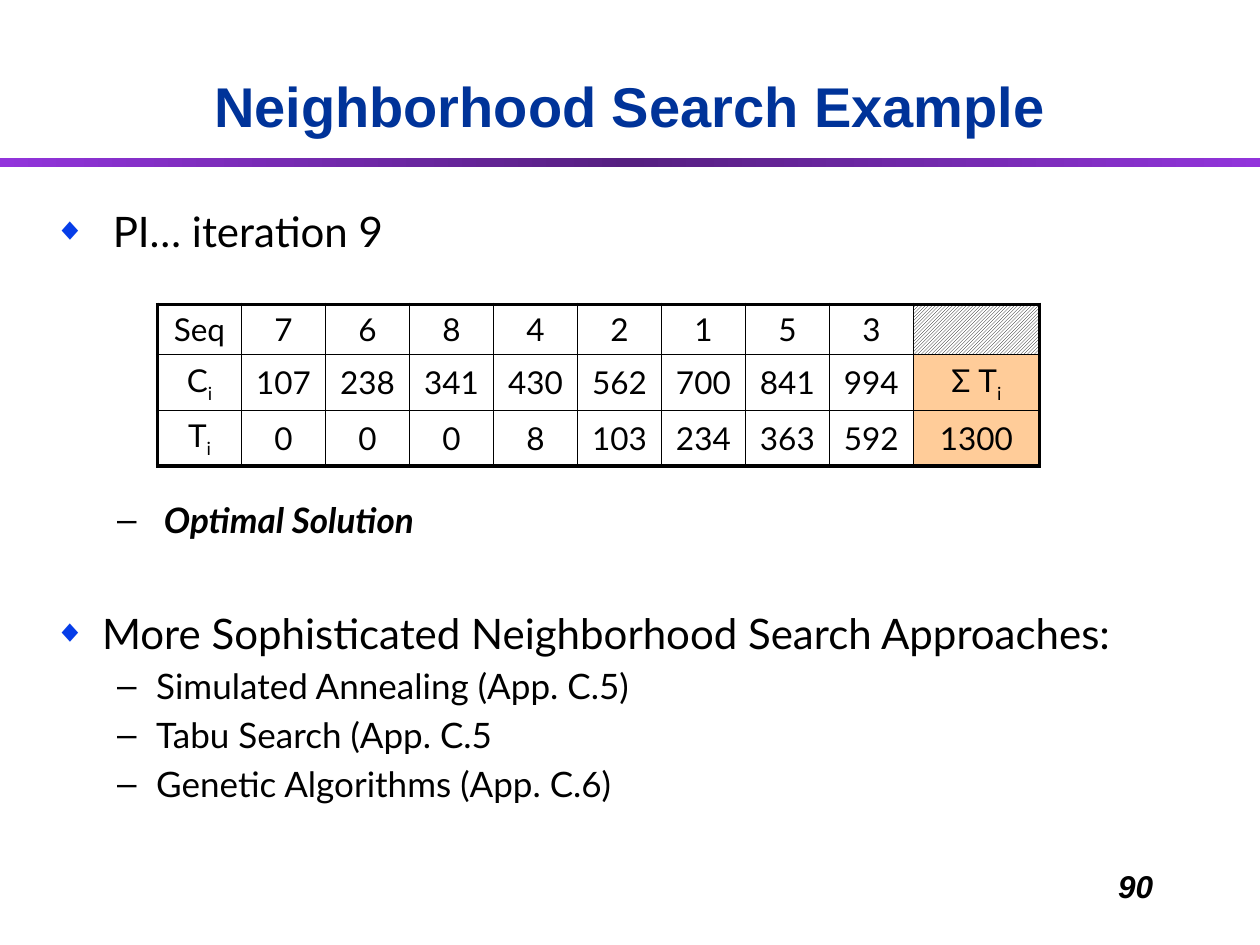
import pptx
import pptx.util
import pptx.dml.color
import pptx.enum.dml
import pptx.enum.shapes
import pptx.enum.text
import pptx.oxml.ns
from lxml import etree

COLORS = {
    "title": "003399", "text": "000000", "bullet": "063DE8", "paper": "FFFFFF",
    "total": "FFCC99", "bar_edge": "9234DB", "bar_middle": "561F81",
}
WIDTH, HEIGHT = pptx.util.Inches(10), pptx.util.Inches(7.5)
ALIGN = pptx.enum.text.PP_ALIGN
ANCHOR = pptx.enum.text.MSO_ANCHOR

SCHEDULE = [
    ["Seq", "7", "6", "8", "4", "2", "1", "5", "3", ""],
    [("C", "i"), "107", "238", "341", "430", "562", "700", "841", "994", ("Σ T", "i")],
    [("T", "i"), "0", "0", "0", "8", "103", "234", "363", "592", "1300"],
]
OUTLINE = [
    (0, " PI… iteration 9", 4.8, False),
    (1, " Optimal Solution", 138.4, True),
    (0, "More Sophisticated Neighborhood Search Approaches:", 38.4, False),
    (1, "Simulated Annealing (App. C.5)", 4, False),
    (1, "Tabu Search (App. C.5", 4, False),
    (1, "Genetic Algorithms (App. C.6)", 4, False),
]
LEVELS = [
    {"size": 24, "left": 0.38, "hang": 0.38, "mark": "◆", "color": "bullet", "scale": 75},
    {"size": 20, "left": 0.81, "hang": 0.31, "mark": "–", "color": "text", "scale": 100},
]


def rgb(name):
    """Return the named colour."""
    return pptx.dml.color.RGBColor.from_string(COLORS[name])


def share(left, top, width, height):
    """Turn shares of the slide into a box in EMU."""
    return [round(part * side) for part, side in
            zip((left, top, width, height), (WIDTH, HEIGHT, WIDTH, HEIGHT))]


def place(shape, box):
    """Move a shape into a box."""
    shape.left, shape.top, shape.width, shape.height = box


def child(parent, tag, **attributes):
    """Append a DrawingML element to a parent."""
    return etree.SubElement(parent, pptx.oxml.ns.qn(tag), attributes)


def add_run(paragraph, text, size, face="Lato", color="text", bold=False, italic=False):
    """Add one formatted run."""
    run = paragraph.add_run()
    run.text = text
    run.font.name, run.font.size = face, pptx.util.Pt(size)
    run.font.bold, run.font.italic = bold, italic
    run.font.color.rgb = rgb(color)
    return run


def add_bar(slide, box):
    """Draw the gradient bar under the title."""
    bar = slide.shapes.add_shape(pptx.enum.shapes.MSO_SHAPE.RECTANGLE, *box)
    bar.shadow.inherit = False
    bar.line.fill.background()
    bar.fill.gradient()
    bar.fill.gradient_angle = 0
    stops = bar._element.spPr.find(".//" + pptx.oxml.ns.qn("a:gsLst"))
    stops.clear()
    for position, name in ((0, "bar_edge"), (50000, "bar_middle"), (100000, "bar_edge")):
        stop = child(stops, "a:gs", pos=str(position))
        child(stop, "a:srgbClr", val=COLORS[name])


def fill_title(slide, box):
    """Write the heading in the title placeholder."""
    title = slide.shapes.title
    place(title, box)
    frame = title.text_frame
    frame.auto_size = pptx.enum.text.MSO_AUTO_SIZE.NONE
    frame.vertical_anchor = ANCHOR.BOTTOM
    heading = frame.paragraphs[0]
    heading.alignment = ALIGN.CENTER
    add_run(heading, "Neighborhood Search Example", 32, "Arial", "title", bold=True)


def fill_outline(slide, box):
    """Write the bulleted outline in the body placeholder."""
    body = slide.placeholders[1]
    place(body, box)
    frame = body.text_frame
    frame.auto_size = pptx.enum.text.MSO_AUTO_SIZE.NONE
    for index, (depth, text, gap, strong) in enumerate(OUTLINE):
        item = frame.add_paragraph() if index else frame.paragraphs[0]
        level = LEVELS[depth]
        item.level = depth
        item.space_before = pptx.util.Pt(gap)
        add_run(item, text, level["size"], bold=strong, italic=strong)
        properties = item._p.get_or_add_pPr()
        properties.set("marL", str(pptx.util.Inches(level["left"])))
        properties.set("indent", str(-pptx.util.Inches(level["hang"])))
        child(child(properties, "a:buClr"), "a:srgbClr", val=COLORS[level["color"]])
        child(properties, "a:buSzPct", val=str(level["scale"] * 1000))
        child(properties, "a:buChar", char=level["mark"])


def set_borders(cell, thick_sides):
    """Rule the four sides of a cell, heavier on the given ones."""
    properties = cell._tc.get_or_add_tcPr()
    for side in "LRTB":
        weight = pptx.util.Pt(2.25 if side in thick_sides else 1)
        line = child(properties, "a:ln" + side, w=str(weight))
        child(child(line, "a:solidFill"), "a:srgbClr", val=COLORS["text"])


def fill_cell(cell, row, column):
    """Set the paint of a schedule cell."""
    if column < len(SCHEDULE[0]) - 1:
        cell.fill.background()
    elif row:
        cell.fill.solid()
        cell.fill.fore_color.rgb = rgb("total")
    else:
        cell.fill.patterned()
        cell.fill.pattern = pptx.enum.dml.MSO_PATTERN.LIGHT_UPWARD_DIAGONAL
        cell.fill.fore_color.rgb = rgb("text")
        cell.fill.back_color.rgb = rgb("paper")


def add_schedule(slide, box):
    """Build the schedule table with a wider last column."""
    rows, columns = len(SCHEDULE), len(SCHEDULE[0])
    table = slide.shapes.add_table(rows, columns, *box).table
    table.first_row = table.horz_banding = False
    unit = box[2] / (columns + 0.5)
    for index, column in enumerate(table.columns):
        column.width = round(unit * (1.5 if index == columns - 1 else 1))
    for row, part in zip(table.rows, (0.4, 0.44, 0.44)):
        row.height = round(box[3] * part / 1.28)
    for r, values in enumerate(SCHEDULE):
        for c, value in enumerate(values):
            cell = table.cell(r, c)
            edges = {"L": c == 0, "R": c == columns - 1, "T": r == 0, "B": r == rows - 1}
            set_borders(cell, [side for side, outer in edges.items() if outer])
            fill_cell(cell, r, c)
            cell.vertical_anchor = ANCHOR.MIDDLE
            cell.margin_left = cell.margin_right = pptx.util.Inches(0.05)
            paragraph = cell.text_frame.paragraphs[0]
            paragraph.alignment = ALIGN.CENTER
            symbol, subscript = value if isinstance(value, tuple) else (value, "")
            if symbol:
                add_run(paragraph, symbol, 18)
            if subscript:
                index_run = add_run(paragraph, subscript, 18)
                index_run.font._element.set("baseline", "-25000")


def add_page_number(slide, box):
    """Write the page number at the lower right."""
    frame = slide.shapes.add_textbox(*box).text_frame
    frame.word_wrap = True
    number = frame.paragraphs[0]
    number.alignment = ALIGN.RIGHT
    add_run(number, "90", 18, "Arial", bold=True, italic=True)


def main():
    """Build and save the slide."""
    deck = pptx.Presentation()
    deck.slide_width, deck.slide_height = WIDTH, HEIGHT
    slide = deck.slides.add_slide(deck.slide_layouts[1])
    add_bar(slide, share(0, 0.167, 1, 0.01))
    add_page_number(slide, share(0.717, 0.911, 0.208, 0.067))
    fill_title(slide, share(0.02, 0.021, 0.96, 0.133))
    fill_outline(slide, share(0.033, 0.211, 0.942, 0.744))
    add_schedule(slide, share(0.125, 0.322, 0.7, 0.171))
    deck.save("out.pptx")


if __name__ == "__main__":
    main()
